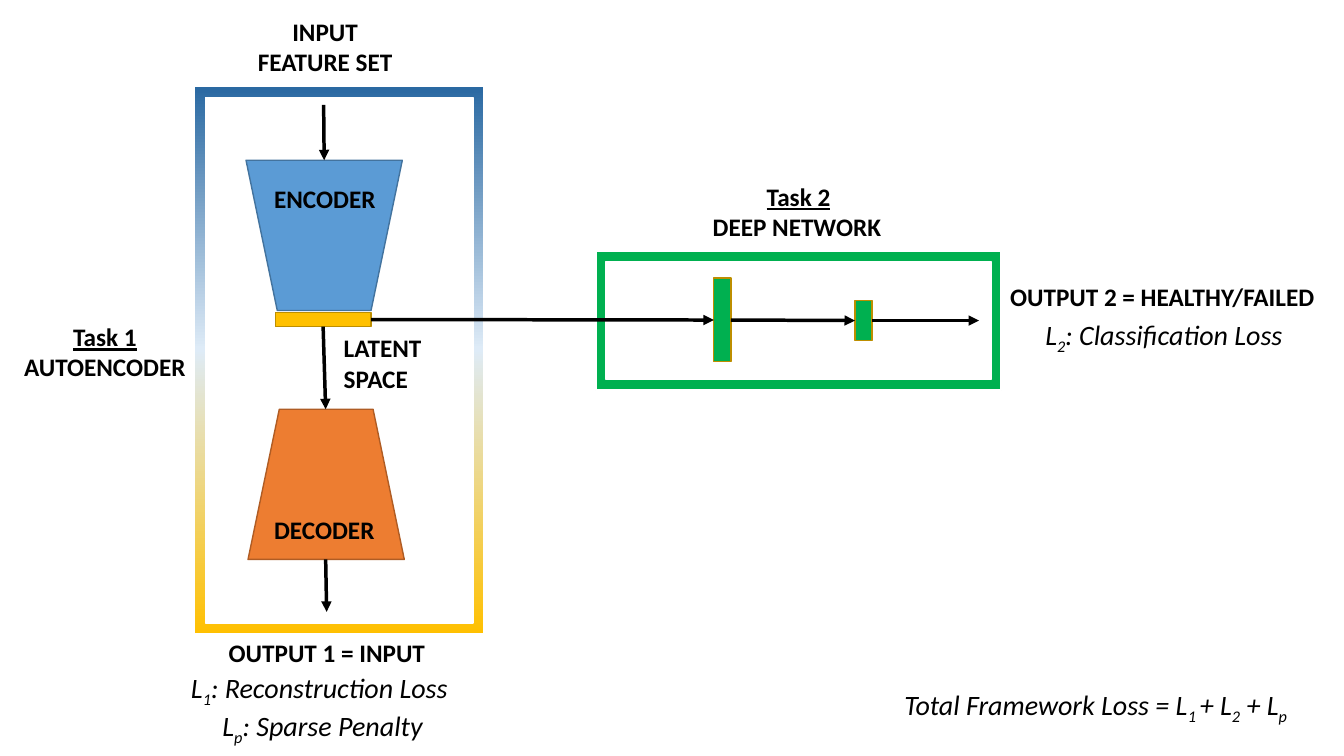
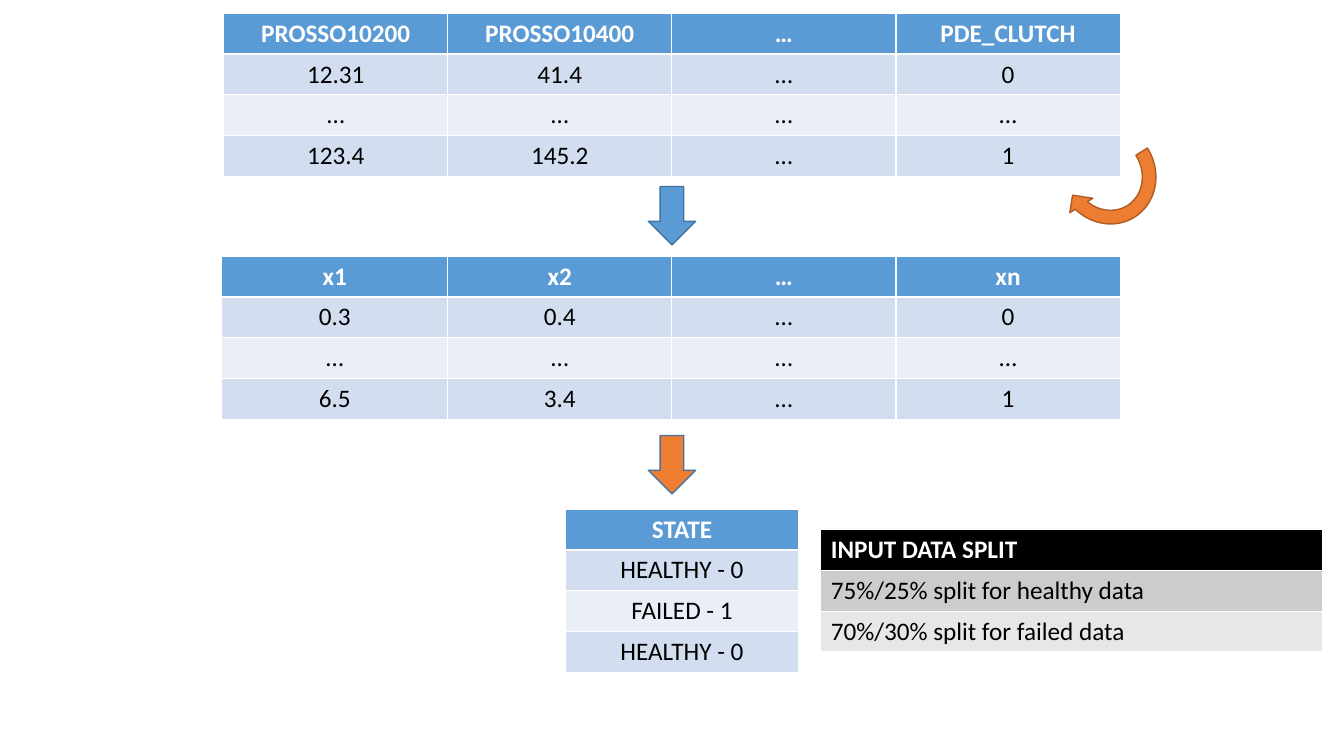
from copy import deepcopy

from pptx import Presentation
from pptx.dml.color import RGBColor
from pptx.enum.shapes import MSO_CONNECTOR, MSO_SHAPE
from pptx.enum.text import MSO_ANCHOR, MSO_AUTO_SIZE, PP_ALIGN
from pptx.oxml.ns import qn
from pptx.oxml.xmlchemy import OxmlElement
from pptx.util import Inches, Pt

# Shared look
FONT = "Calibri"
BLACK, WHITE = "000000", "FFFFFF"
BLUE, BLUE_EDGE = "5B9BD5", "43739E"
ORANGE, ORANGE_EDGE = "ED7D31", "AF5C24"
GOLD, GOLD_EDGE, GREEN = "FFC000", "BD8E00", "00B050"
BLUE_BANDS = ("D2DEEF", "EAEFF7")
GREY_BANDS = ("CCCCCC", "E7E7E7")
LEFT, CENTER = PP_ALIGN.LEFT, PP_ALIGN.CENTER
rgb = RGBColor.from_string


def draw_shape(slide, kind, box, fill, edge):
    shape = slide.shapes.add_shape(kind, *[Inches(v) for v in box])
    shape.shadow.inherit = False
    shape.fill.solid()
    shape.fill.fore_color.rgb = rgb(fill)
    shape.line.color.rgb = rgb(edge)
    shape.line.width = Pt(1)
    return shape


def write(paragraph, align, runs, size=18, style="", color=BLACK):
    """Style letters: b bold, i italic, u underline, s subscript."""
    paragraph.alignment = align
    for text, extra in runs:
        run = paragraph.add_run()
        run.text = text
        font = run.font
        font.name, font.size, font.color.rgb = FONT, Pt(size), rgb(color)
        font.bold = "b" in style + extra
        font.italic = "i" in style + extra
        font.underline = "u" in extra
        if "s" in extra:
            font._element.set("baseline", "-25000")


prs = Presentation()
prs.slide_width, prs.slide_height = Inches(13.33), Inches(7.5)
blank = prs.slide_layouts[6]

# Slide 1: two-task framework
framework = prs.slides.add_slide(blank)
encoder = draw_shape(framework, MSO_SHAPE.FLOWCHART_MANUAL_OPERATION,
                     (2.44, 1.59, 1.55, 1.49), BLUE, BLUE_EDGE)
decoder = draw_shape(framework, MSO_SHAPE.FLOWCHART_MANUAL_OPERATION,
                     (2.46, 4.06, 1.55, 1.49), ORANGE, ORANGE_EDGE)
decoder.rotation = 180
latent = draw_shape(framework, MSO_SHAPE.RECTANGLE, (2.73, 3.1, 0.95, 0.14), GOLD, GOLD_EDGE)
wide_layer = draw_shape(framework, MSO_SHAPE.RECTANGLE, (7.08, 2.76, 0.17, 0.83), GREEN, GOLD_EDGE)
small_layer = draw_shape(framework, MSO_SHAPE.RECTANGLE, (8.48, 2.98, 0.17, 0.4), GREEN, GOLD_EDGE)

# Task frames
network_frame = draw_shape(framework, MSO_SHAPE.FRAME, (5.91, 2.49, 4.02, 1.38), GREEN, WHITE)
network_frame.adjustments[0] = 0.074
autoencoder_frame = draw_shape(framework, MSO_SHAPE.FRAME, (1.93, 0.86, 2.87, 5.43), BLUE, WHITE)
autoencoder_frame.adjustments[0] = 0.038
fade = autoencoder_frame.fill
fade.gradient()
fade.gradient_angle = 270
stop_list = autoencoder_frame._element.spPr.find(qn("a:gradFill")).find(qn("a:gsLst"))
stop_list.insert(1, deepcopy(stop_list[0]))
for stop, (position, color) in zip(fade.gradient_stops,
                                   [(0, "2A69A2"), (0.48, "DEEBF7"), (1, GOLD)]):
    stop.position = position
    stop.color.rgb = rgb(color)

# Data flow: from, to, joined start, joined end
flows = [
    ((3.21, 1.04), (3.21, 1.59), None, (encoder, 0)),
    ((3.21, 3.24), (3.23, 4.06), (latent, 2), None),
    ((3.23, 5.55), (3.24, 6.07), None, None),
    ((3.68, 3.17), (7.08, 3.17), (latent, 3), (wide_layer, 1)),
    ((7.25, 3.17), (8.48, 3.18), (wide_layer, 3), (small_layer, 1)),
    ((8.66, 3.18), (9.71, 3.18), (small_layer, 3), None),
]
for start, end, source, target in flows:
    arrow = framework.shapes.add_connector(
        MSO_CONNECTOR.STRAIGHT, *[Inches(v) for v in start + end])
    if source:
        arrow.begin_connect(*source)
    if target:
        arrow.end_connect(*target)
    arrow.line.color.rgb = rgb(BLACK)
    arrow.line.width = Pt(2.5)
    head = OxmlElement("a:tailEnd")
    head.set("type", "triangle")
    arrow.line._get_or_add_ln().append(head)
    arrow._element.spPr.append(OxmlElement("a:effectLst"))

# Labels: box, size, style, paragraphs
labels = [
    ((2.36, 0.11, 1.73, 0.71), 18, "b", [(CENTER, [("INPUT FEATURE SET", "")])]),
    ((2.62, 1.77, 1.25, 0.4), 18, "b", [(LEFT, [("ENCODER", "")])]),
    ((2.62, 5.05, 1.28, 0.4), 18, "b", [(LEFT, [("DECODER", "")])]),
    ((3.31, 3.25, 1.28, 0.71), 18, "b", [(LEFT, [("LATENT", "")]), (LEFT, [("SPACE", "")])]),
    ((2.17, 6.27, 2.6, 0.4), 18, "b", [(LEFT, [("OUTPUT 1 = INPUT", "")])]),
    ((9.92, 2.74, 3.46, 0.4), 18, "b", [(LEFT, [("OUTPUT 2 = HEALTHY/FAILED", "")])]),
    ((0.14, 3.14, 1.8, 0.71), 18, "b",
     [(CENTER, [("Task 1", "u")]), (CENTER, [("AUTOENCODER", "")])]),
    ((6.97, 1.75, 1.9, 0.71), 18, "b",
     [(CENTER, [("Task 2", "u")]), (LEFT, [("DEEP NETWORK", "")])]),
    ((0.88, 6.6, 4.64, 0.77), 20, "i",
     [(CENTER, [("L", ""), ("1", "s"), (": Reconstruction Loss ", "")]),
      (CENTER, [("L", ""), ("p", "s"), (": Sparse Penalty", "")])]),
    ((10.23, 3.1, 2.63, 0.44), 20, "i",
     [(CENTER, [("L", ""), ("2", "s"), (": Classification Loss", "")])]),
    ((8.87, 6.77, 4.25, 0.44), 20, "i",
     [(LEFT, [("Total Framework Loss = L", ""), ("1 ", "s"), ("+ L", ""),
              ("2", "s"), (" + L", ""), ("p", "s")])]),
]
for box, size, style, paragraphs in labels:
    frame = framework.shapes.add_textbox(*[Inches(v) for v in box]).text_frame
    frame.word_wrap = True
    frame.auto_size = MSO_AUTO_SIZE.SHAPE_TO_FIT_TEXT
    for index, (align, runs) in enumerate(paragraphs):
        paragraph = frame.add_paragraph() if index else frame.paragraphs[0]
        write(paragraph, align, runs, size, style)

# Slide 2: data preparation
preparation = prs.slides.add_slide(blank)

# Tables: box, first column width, header fill, bands, alignment, rows
tables = [
    ((2.22, 0.13, 8.89, 1.62), 2.22, BLUE, BLUE_BANDS, CENTER,
     [("PROSSO10200", "PROSSO10400", "…", "PDE_CLUTCH"),
      ("12.31", "41.4", "…", "0"),
      ("…", "…", "…", "…"),
      ("123.4", "145.2", "…", "1")]),
    ((2.2, 2.54, 8.91, 1.62), 2.24, BLUE, BLUE_BANDS, CENTER,
     [("x1", "x2", "…", "xn"),
      ("0.3", "0.4", "…", "0"),
      ("…", "…", "…", "…"),
      ("6.5", "3.4", "…", "1")]),
    ((5.61, 5.05, 2.31, 1.62), 2.31, BLUE, BLUE_BANDS, CENTER,
     [("STATE",), ("HEALTHY - 0",), ("FAILED - 1",), ("HEALTHY - 0",)]),
    ((8.14, 5.25, 4.98, 1.22), 4.98, BLACK, GREY_BANDS, LEFT,
     [("INPUT DATA SPLIT",), ("75%/25% split for healthy data",),
      ("70%/30% split for failed data",)]),
]
for box, first_width, header_fill, bands, align, rows in tables:
    columns = len(rows[0])
    table = preparation.shapes.add_table(
        len(rows), columns, *[Inches(v) for v in box]).table
    table.columns[0].width = Inches(first_width)
    for column in range(1, columns):
        table.columns[column].width = Inches((box[2] - first_width) / (columns - 1))
    for r, row in enumerate(rows):
        for c, value in enumerate(row):
            cell = table.cell(r, c)
            cell.vertical_anchor = MSO_ANCHOR.TOP
            cell.fill.solid()
            cell.fill.fore_color.rgb = rgb(bands[(r - 1) % 2] if r else header_fill)
            write(cell.text_frame.paragraphs[0], align, [(value, "")],
                  style="" if r else "b", color=BLACK if r else WHITE)

# Step arrows
for top, fill in [(1.85, BLUE), (4.32, ORANGE)]:
    draw_shape(preparation, MSO_SHAPE.DOWN_ARROW, (6.43, top, 0.47, 0.58), fill, BLUE_EDGE)
turn = draw_shape(preparation, MSO_SHAPE.CIRCULAR_ARROW,
                  (10.44, 1.14, 1.08, 1.16), ORANGE, ORANGE_EDGE)
turn.rotation = 147.8

prs.save("out.pptx")
